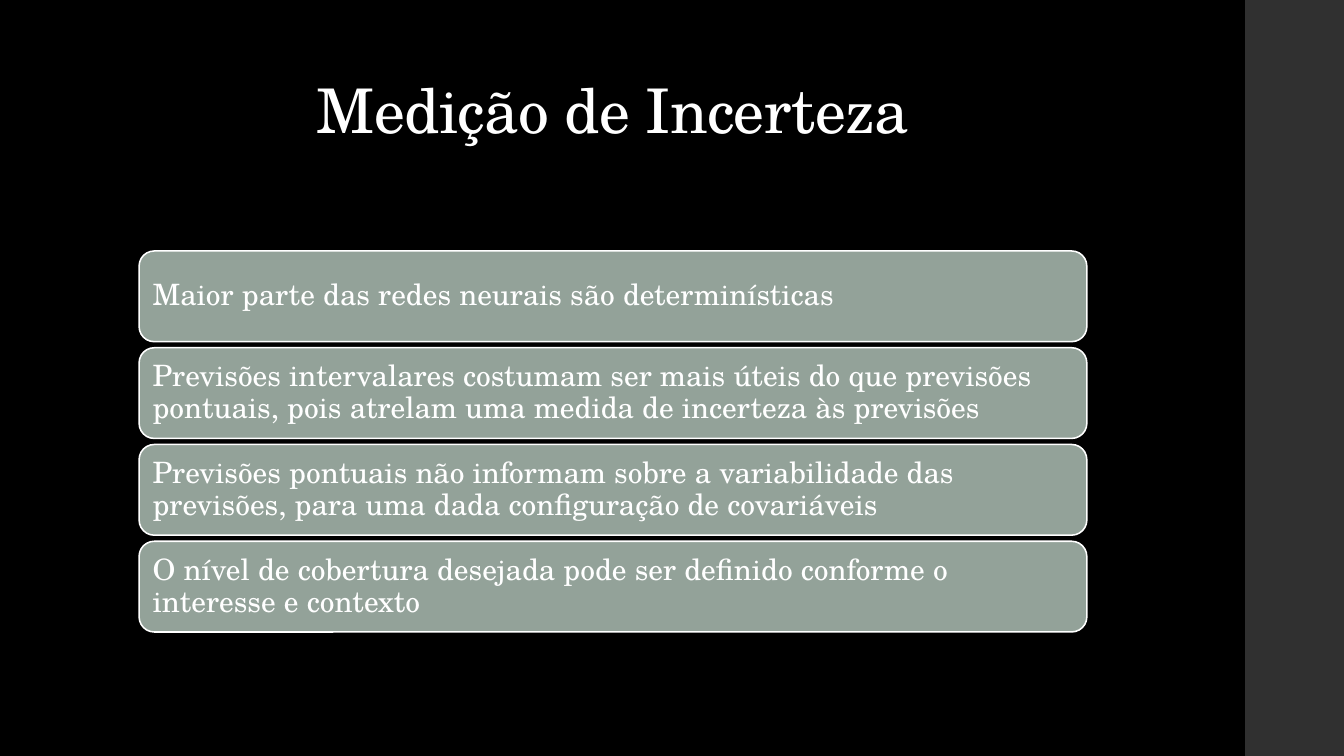
from pptx import Presentation
from pptx.dml.color import RGBColor
from pptx.enum import shapes, text
from pptx.util import Inches, Pt

COLORS = {"background": "000000", "sidebar": "303030", "card": "93A299", "light": "FFFFFF"}
FONT = "TeX Gyre Schola"
SLIDE_WIDTH, SLIDE_HEIGHT = 13.33, 7.5
CONTENT_LEFT, CONTENT_WIDTH = 1.38, 9.4
STATEMENTS = [
    "Maior parte das redes neurais são determinísticas",
    "Previsões intervalares costumam ser mais úteis do que previsões pontuais, "
    "pois atrelam uma medida de incerteza às previsões",
    "Previsões pontuais não informam sobre a variabilidade das previsões, "
    "para uma dada configuração de covariáveis",
    "O nível de cobertura desejada pode ser definido conforme o interesse e contexto",
]


def color(name):
    return RGBColor.from_string(COLORS[name])


def write(frame, wording, size, align):
    frame.text = wording
    frame.word_wrap = True
    frame.auto_size = text.MSO_AUTO_SIZE.NONE
    frame.vertical_anchor = text.MSO_ANCHOR.MIDDLE
    paragraph = frame.paragraphs[0]
    paragraph.alignment = align
    paragraph.line_spacing = 0.9
    run = paragraph.runs[0]
    run.font.name = FONT
    run.font.size = Pt(size)
    run.font.color.rgb = color("light")
    return run


def add_block(slide, kind, fill, left, top, width, height):
    block = slide.shapes.add_shape(kind, Inches(left), Inches(top), Inches(width), Inches(height))
    block.shadow.inherit = False
    block.fill.solid()
    block.fill.fore_color.rgb = color(fill)
    block.line.fill.background()
    return block


def add_sidebar(slide, left, top, width, height):
    add_block(slide, shapes.MSO_SHAPE.RECTANGLE, "sidebar", left, top, width, height)


def add_title(slide, left, top, width, height):
    title = slide.shapes.title
    title.left, title.top = Inches(left), Inches(top)
    title.width, title.height = Inches(width), Inches(height)
    run = write(title.text_frame, "Medição de Incerteza", 44, text.PP_ALIGN.CENTER)
    run._r.get_or_add_rPr().set("spc", "-50")


def add_statements(slide, left, top, width, height, gap=0.06):
    card_height = (height - gap * (len(STATEMENTS) - 1)) / len(STATEMENTS)
    for index, statement in enumerate(STATEMENTS):
        card_top = top + index * (card_height + gap)
        card = add_block(slide, shapes.MSO_SHAPE.ROUNDED_RECTANGLE, "card",
                         left, card_top, width, card_height)
        card.line.color.rgb = color("light")
        card.line.width = Pt(1.1)
        frame = card.text_frame
        frame.margin_left = frame.margin_right = Inches(0.09)
        frame.margin_top = frame.margin_bottom = Inches(0.09)
        write(frame, statement, 21, text.PP_ALIGN.LEFT)


def main():
    deck = Presentation()
    deck.slide_width, deck.slide_height = Inches(SLIDE_WIDTH), Inches(SLIDE_HEIGHT)
    slide = deck.slides.add_slide(deck.slide_layouts[5])
    slide.background.fill.solid()
    slide.background.fill.fore_color.rgb = color("background")
    add_sidebar(slide, 12.35, 0, SLIDE_WIDTH - 12.35, SLIDE_HEIGHT)
    add_title(slide, CONTENT_LEFT, 0.4, CONTENT_WIDTH, 1.45)
    add_statements(slide, CONTENT_LEFT, 2.49, CONTENT_WIDTH, 3.78)
    deck.save("out.pptx")


if __name__ == "__main__":
    main()
